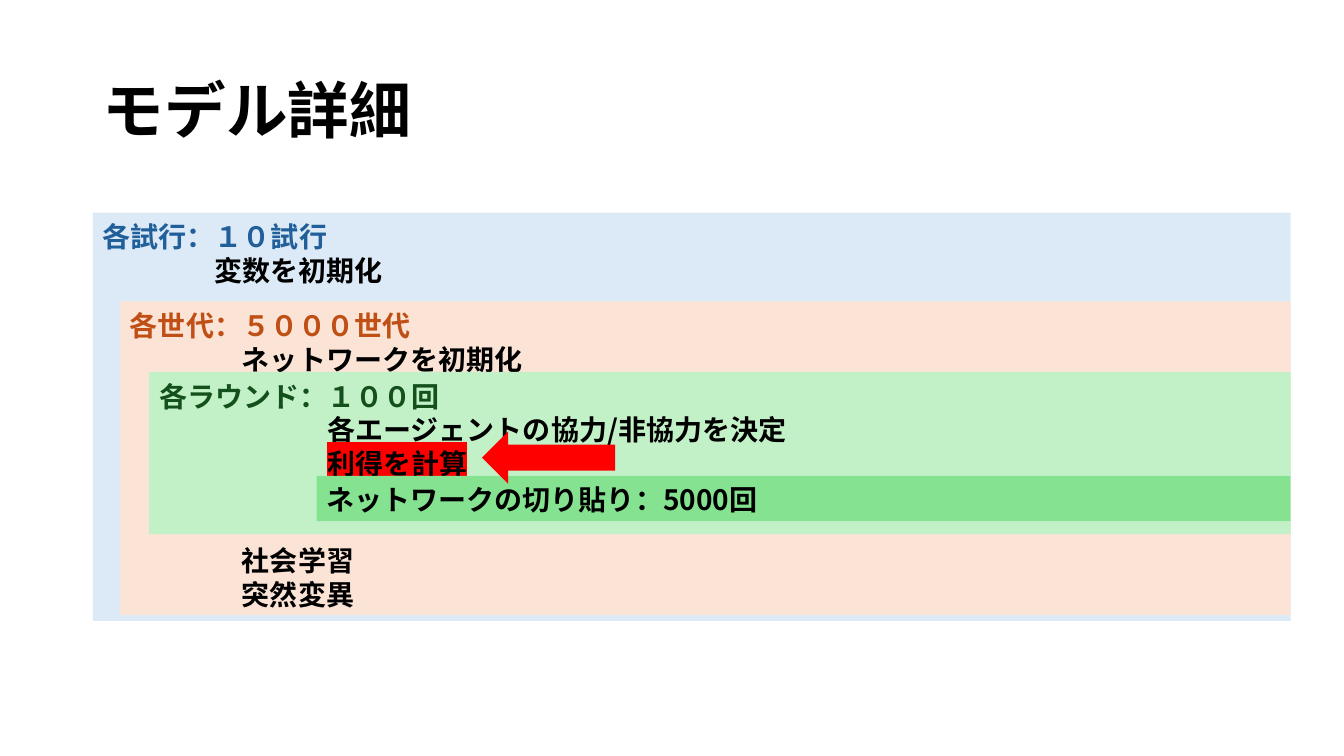
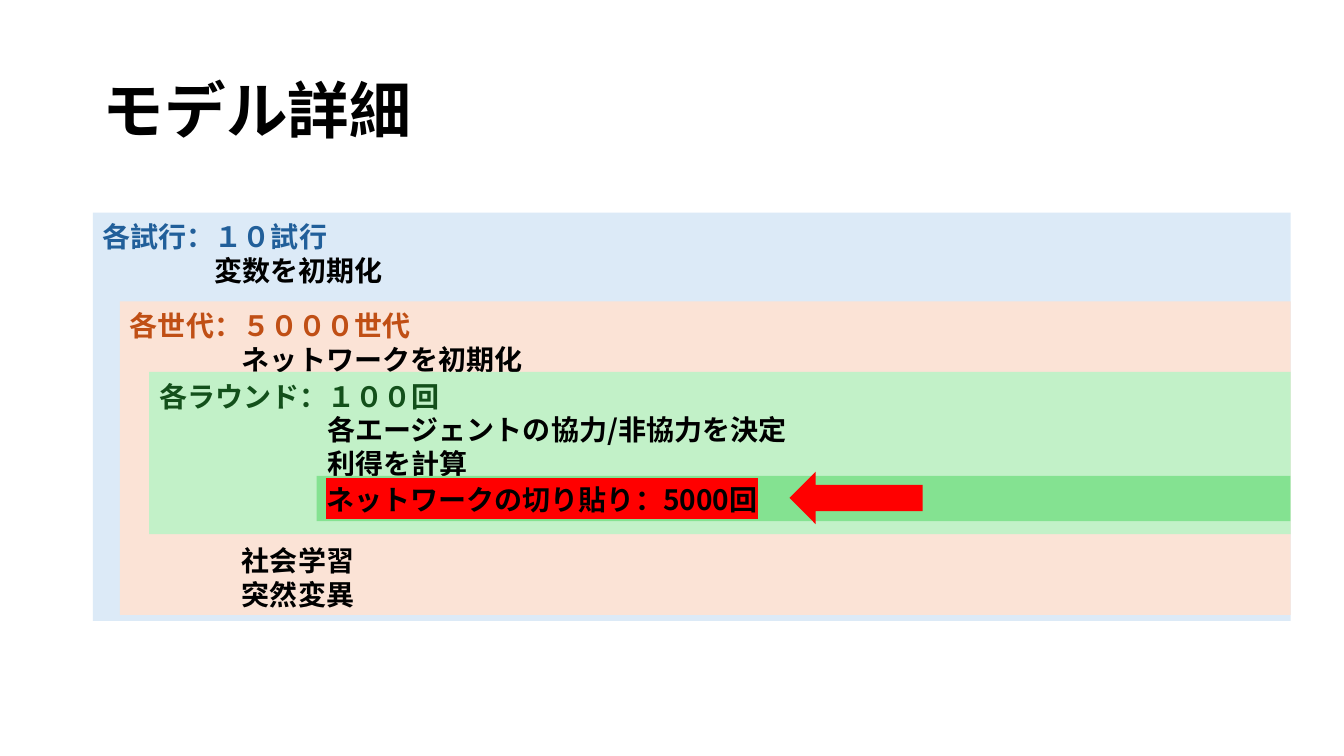
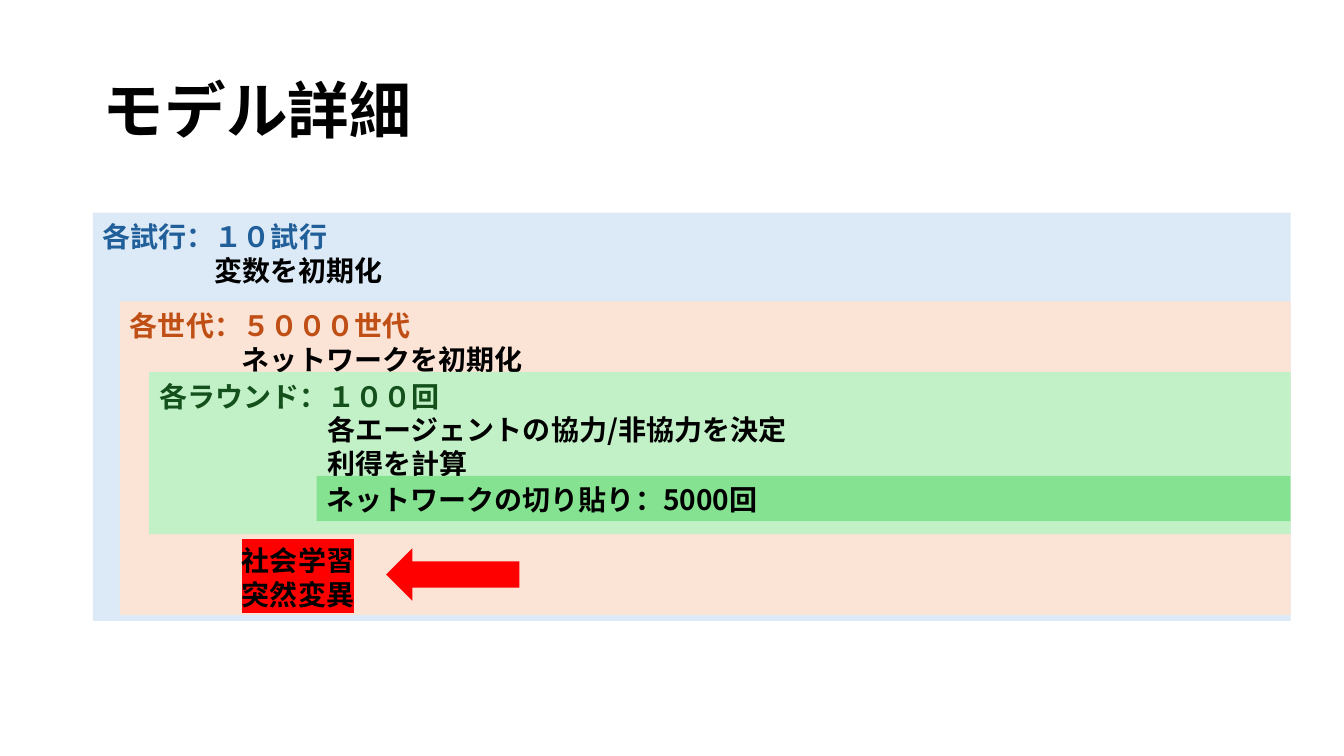
"""Build three slides that step through the nested loops of a simulation model."""
from dataclasses import dataclass

from lxml.etree import SubElement
from pptx import Presentation
from pptx.dml.color import RGBColor
from pptx.enum.shapes import MSO_SHAPE
from pptx.enum.text import MSO_ANCHOR, PP_ALIGN
from pptx.oxml.ns import qn
from pptx.util import Inches, Pt

COLORS = {
    "black": "000000",
    "trial": "DCEAF7",
    "trial_head": "215F9A",
    "generation": "FBE3D6",
    "generation_head": "C04F15",
    "round": "C2F1C8",
    "round_head": "13501B",
    "rewiring": "84E291",
    "marker": "FF0000",
}
FONT = "Noto Sans CJK JP"
TITLE = "モデル詳細"
TEXT_SIZE = 20
LINE_PITCH = 24
RIGHT_EDGE = 12.8
PAYOFF = "利得を計算"
REWIRING = "ネットワークの切り貼り：5000回"
LEARNING = "社会学習"
MUTATION = "突然変異"


@dataclass
class Line:
    """A line of text, indented by characters and set below some skipped lines."""
    text: str
    color: str = "black"
    indent: int = 0
    skipped: int = 0


@dataclass
class Band:
    """A loop level that runs from its left edge to the shared right edge."""
    left: float
    top: float
    height: float
    fill: str
    lines: list


BANDS = [
    Band(0.92, 2.11, 4.05, "trial", [
        Line("各試行：１０試行", "trial_head"),
        Line("変数を初期化", indent=4),
    ]),
    Band(1.19, 2.99, 3.11, "generation", [
        Line("各世代：５０００世代", "generation_head"),
        Line("ネットワークを初期化", indent=4),
        Line(LEARNING, indent=4, skipped=5),
        Line(MUTATION, indent=4),
    ]),
    Band(1.48, 3.69, 1.61, "round", [
        Line("各ラウンド：１００回", "round_head"),
        Line("各エージェントの協力/非協力を決定", indent=6),
        Line(PAYOFF, indent=6),
    ]),
    Band(3.14, 4.72, 0.45, "rewiring", [Line(REWIRING)]),
]
STEPS = [
    ({PAYOFF}, 4.78, 4.28),
    ({REWIRING}, 7.83, 4.68),
    ({LEARNING, MUTATION}, 3.83, 5.44),
]


def rgb(name):
    """Return the named colour."""
    return RGBColor.from_string(COLORS[name])


def style_paragraph(para, size, color):
    """Give a paragraph the shared bold typeface, left aligned."""
    para.alignment = PP_ALIGN.LEFT
    font = para.font
    font.name, font.size, font.bold = FONT, Pt(size), True
    font.color.rgb = rgb(color)
    properties = para._p.get_or_add_pPr().find(qn("a:defRPr"))
    SubElement(properties, qn("a:ea"), typeface=FONT)


def highlight(span):
    """Put the marker colour behind a run."""
    marker = SubElement(span._r.get_or_add_rPr(), qn("a:highlight"))
    SubElement(marker, qn("a:srgbClr"), val=COLORS["marker"])


def add_flat_shape(page, kind, left, top, width, height, fill):
    """Add a filled shape without outline or shadow."""
    box = page.shapes.add_shape(
        kind, Inches(left), Inches(top), Inches(width), Inches(height))
    box.shadow.inherit = False
    box.fill.solid()
    box.fill.fore_color.rgb = rgb(fill)
    box.line.fill.background()
    return box


def add_title(page):
    """Place and format the title placeholder."""
    box = page.shapes.title
    box.left, box.top = Inches(0.92), Inches(0.4)
    box.width, box.height = Inches(11.5), Inches(1.45)
    frame = box.text_frame
    frame.text = TITLE
    frame.vertical_anchor = MSO_ANCHOR.MIDDLE
    para = frame.paragraphs[0]
    para.line_spacing = 0.9
    style_paragraph(para, 44, "black")


def add_band(page, band, marked):
    """Draw one loop level and highlight its marked lines."""
    box = add_flat_shape(page, MSO_SHAPE.RECTANGLE, band.left, band.top,
                         RIGHT_EDGE - band.left, band.height, band.fill)
    frame = box.text_frame
    frame.word_wrap = True
    frame.vertical_anchor = MSO_ANCHOR.TOP
    frame.margin_top = Inches(0.07)
    for index, line in enumerate(band.lines):
        para = frame.add_paragraph() if index else frame.paragraphs[0]
        para.line_spacing = Pt(LINE_PITCH)
        para.space_before = Pt(line.skipped * LINE_PITCH)
        style_paragraph(para, TEXT_SIZE, line.color)
        para._p.get_or_add_pPr().set("marL", str(Pt(line.indent * TEXT_SIZE)))
        span = para.add_run()
        span.text = line.text
        if line.text in marked:
            highlight(span)


def add_step_slide(deck, marked, arrow_left, arrow_top):
    """Add a slide with all loop levels and an arrow at the current step."""
    page = deck.slides.add_slide(deck.slide_layouts[5])
    add_title(page)
    for band in BANDS:
        add_band(page, band, marked)
    add_flat_shape(page, MSO_SHAPE.LEFT_ARROW, arrow_left, arrow_top,
                   1.32, 0.52, "marker")


def main():
    """Build and save the deck."""
    deck = Presentation()
    deck.slide_width, deck.slide_height = Inches(13.33), Inches(7.5)
    for marked, arrow_left, arrow_top in STEPS:
        add_step_slide(deck, marked, arrow_left, arrow_top)
    deck.save("out.pptx")


if __name__ == "__main__":
    main()
